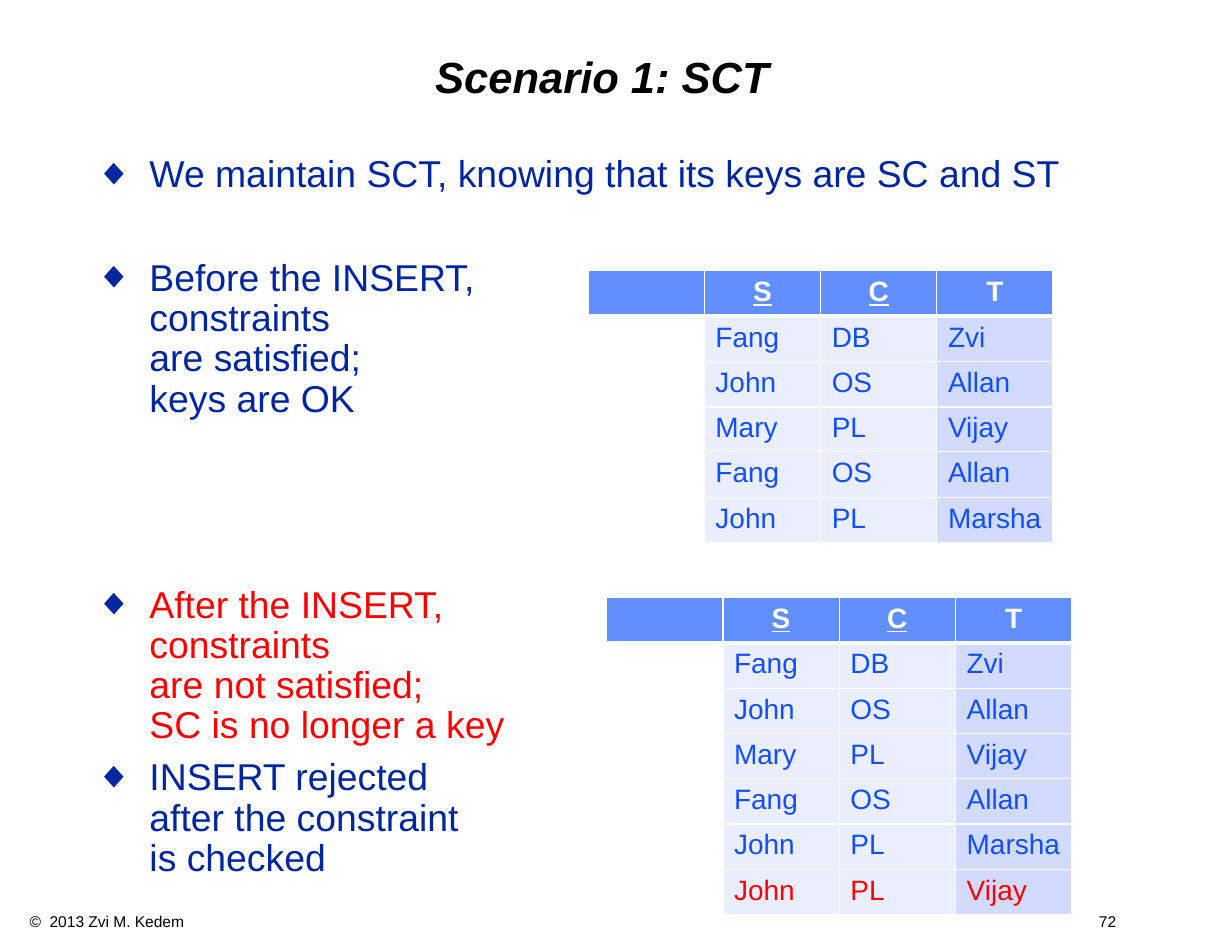
from lxml.etree import SubElement
from pptx import Presentation
from pptx.dml.color import RGBColor
from pptx.enum.text import MSO_ANCHOR as Anchor, PP_ALIGN as Align
from pptx.oxml.ns import qn
from pptx.util import Pt

FONT = "Arial"
COLORS = {
    "black": "000000", "white": "FFFFFF", "navy": "00279F", "red": "FF0000",
    "header": "618FFD", "cell": "EAEEFF", "last": "D2DBFE", "blue": "114FFB",
}

# Wording: space before, colour, lines
BULLETS = [
    (0, "navy", ["We maintain SCT, knowing that its keys are SC and ST"]),
    (40.5, "navy", ["Before the INSERT,", "constraints", "are satisfied;", "keys are OK"]),
    (106.5, "red", ["After the INSERT,", "constraints", "are not satisfied;",
                    "SC is no longer a key"]),
    (7.5, "navy", ["INSERT rejected", "after the constraint", "is checked"]),
]
HEADINGS = ["S", "C", "T"]
KEY = {"S", "C"}
ROWS = [
    ["Fang", "DB", "Zvi"], ["John", "OS", "Allan"], ["Mary", "PL", "Vijay"],
    ["Fang", "OS", "Allan"], ["John", "PL", "Marsha"],
]
INSERTED = ["John", "PL", "Vijay"]
ROW_HEIGHT, SHORT_ROW, SHORT_HEIGHT = 29.2, 3, 26.2


def color(name):
    return RGBColor.from_string(COLORS[name])


def add_span(para, text, size, shade, bold=False, italic=False, underline=False):
    span = para.add_run()
    span.text = text
    font = span.font
    font.name, font.size = FONT, Pt(size)
    font.bold, font.italic, font.underline = bold, italic, underline
    font.color.rgb = color(shade)


def place(shape, left, top, width, height):
    shape.left, shape.top = Pt(left), Pt(top)
    shape.width, shape.height = Pt(width), Pt(height)


def set_frame(frame, side, end, anchor=Anchor.TOP):
    frame.word_wrap = True
    frame.vertical_anchor = anchor
    frame.margin_left = frame.margin_right = Pt(side)
    frame.margin_top = frame.margin_bottom = Pt(end)


def add_title(page, *box):
    title = page.shapes.title
    place(title, *box)
    set_frame(title.text_frame, 7.6, 4, Anchor.MIDDLE)
    para = title.text_frame.paragraphs[0]
    para.alignment, para.line_spacing = Align.CENTER, 0.9
    add_span(para, "Scenario 1: SCT", 28, "black", bold=True, italic=True)


def add_bullet(para, indent):
    props = para._p.get_or_add_pPr()
    props.set("marL", str(Pt(indent)))
    props.set("indent", str(-Pt(indent)))
    shade = SubElement(props, qn("a:buClr"))
    SubElement(shade, qn("a:srgbClr"), val=COLORS["navy"])
    SubElement(props, qn("a:buFont"), typeface=FONT)
    SubElement(props, qn("a:buChar"), char="◆")


def add_bullets(page, left, top, width, height):
    frame = page.shapes.add_textbox(Pt(left), Pt(top), Pt(width), Pt(height)).text_frame
    set_frame(frame, 7.6, 4)
    for index, (gap, shade, lines) in enumerate(BULLETS):
        para = frame.add_paragraph() if index else frame.paragraphs[0]
        add_bullet(para, 34.5)
        para.line_spacing, para.space_before = 0.9, Pt(gap)
        for number, line in enumerate(lines):
            if number:
                para.add_line_break()
            add_span(para, line, 24, shade)


def set_borders(cell, top, bottom):
    props = cell._tc.get_or_add_tcPr()
    widths = {"L": 1, "R": 1, "T": top, "B": bottom}
    for index, (side, width) in enumerate(widths.items()):
        line = SubElement(props, qn(f"a:ln{side}"), w=str(Pt(width)))
        props.insert(index, line)
        fill = SubElement(line, qn("a:solidFill"))
        SubElement(fill, qn("a:srgbClr"), val=COLORS["white"])


def add_relation(page, left, top, width, rows, inserted=None):
    """A relation with a blank first column; the inserted row is red."""
    lines = [HEADINGS] + rows + ([inserted] if inserted else [])
    heights = [SHORT_HEIGHT if r == SHORT_ROW else ROW_HEIGHT for r in range(len(lines))]
    table = page.shapes.add_table(len(lines), 4, Pt(left), Pt(top), Pt(width),
                                  Pt(sum(heights))).table
    table.first_row = table.horz_banding = False
    for column in table.columns:
        column.width = Pt(width / 4)
    fills = ["white", "cell", "cell", "last"]
    for r, line in enumerate(lines):
        table.rows[r].height = Pt(heights[r])
        shade = "white" if r == 0 else "red" if line is inserted else "blue"
        for c, text in enumerate([""] + line):
            cell = table.cell(r, c)
            cell.fill.solid()
            cell.fill.fore_color.rgb = color(fills[c] if r else "header")
            set_borders(cell, 3 if r == 1 else 1, 3 if r == 0 else 1)
            para = cell.text_frame.paragraphs[0]
            para.alignment = Align.LEFT if r else Align.CENTER
            if text:
                add_span(para, text, 18, shade, bold=r == 0,
                         underline=r == 0 and text in KEY)


def add_footer(page, left, top, width, height):
    frame = page.shapes.add_textbox(Pt(left), Pt(top), Pt(width), Pt(height)).text_frame
    set_frame(frame, 7.2, 3.6)
    para = frame.paragraphs[0]
    tabs = SubElement(para._p.get_or_add_pPr(), qn("a:tabLst"))
    SubElement(tabs, qn("a:tab"), pos=str(Pt(698.5)), algn="r")
    add_span(para, "©  2013 Zvi M. Kedem", 10, "black")
    add_span(para, "\t72", 10, "black")


def main():
    deck = Presentation()
    deck.slide_width, deck.slide_height = Pt(792), Pt(612)
    page = deck.slides.add_slide(deck.slide_layouts[5])
    add_footer(page, 12, 583, 744.5, 19.4)
    add_title(page, 54, 18, 666, 66)
    add_bullets(page, 54, 96, 672, 480)
    # Before and after the INSERT
    add_relation(page, 378, 174, 299, ROWS)
    add_relation(page, 390, 384, 299, ROWS, INSERTED)
    deck.save("out.pptx")


if __name__ == "__main__":
    main()
